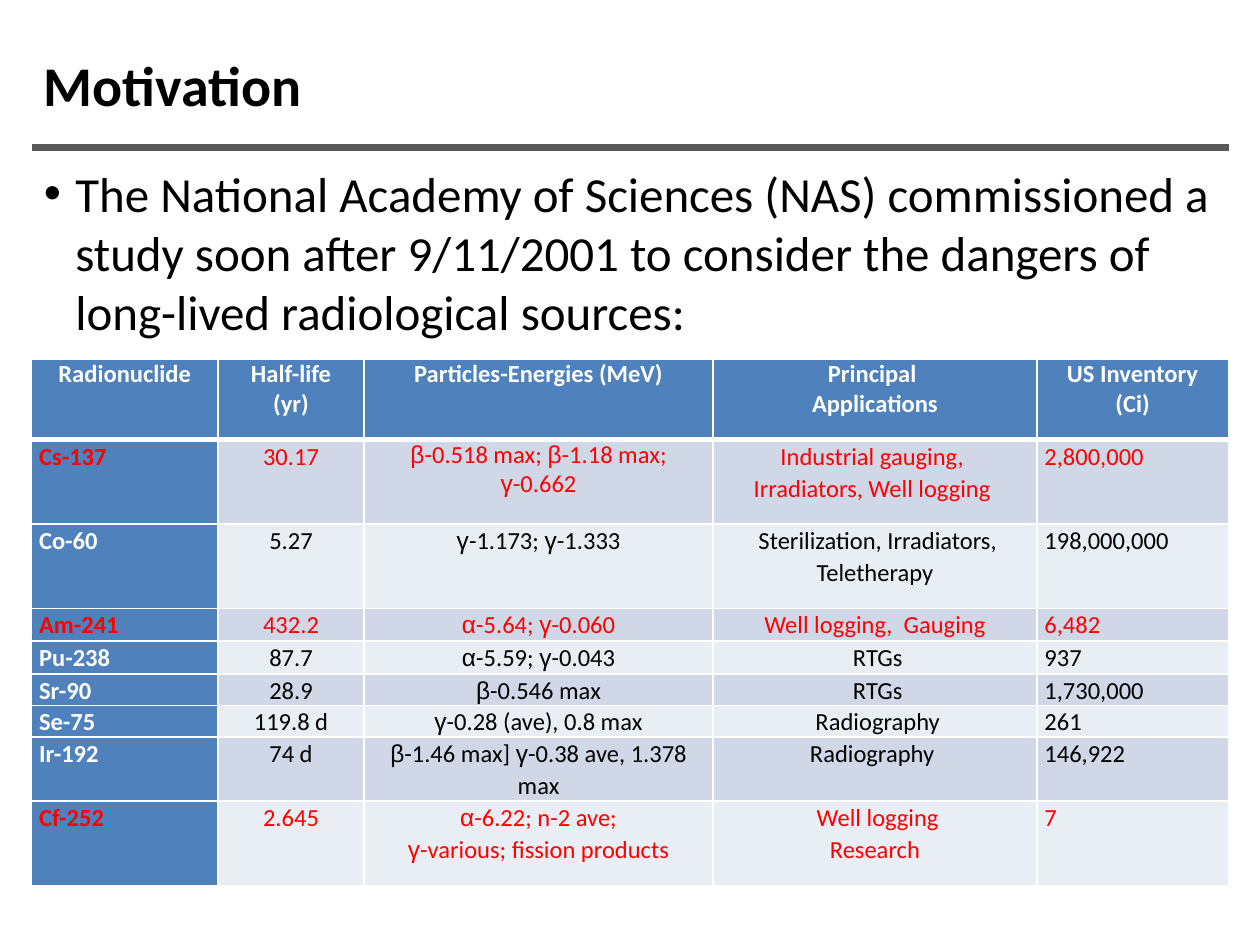
import dataclasses
import itertools

import lxml.etree
import pptx
import pptx.dml.color
import pptx.enum.shapes
import pptx.enum.text
import pptx.oxml.ns
import pptx.util

Inches = pptx.util.Inches
Pt = pptx.util.Pt
ALIGN = pptx.enum.text.PP_ALIGN
ANCHOR = pptx.enum.text.MSO_ANCHOR

COLORS = {
    "black": "000000",
    "white": "FFFFFF",
    "rule": "595959",
    "blue": "4F81BD",
    "dark_band": "D0D8E8",
    "light_band": "E9EDF4",
    "red": "FF0000",
}
GREEK = "αβγ"
LEFT, WIDTH = 0.25, 9.5
COLUMN_WIDTHS = (1.48, 1.16, 2.77, 2.57, 1.52)
HEADER_HEIGHT = 0.64
HEADERS = ("Radionuclide", "Half-life\v(yr)", "Particles-Energies (MeV)",
           "Principal \vApplications", "US Inventory\v(Ci)")


@dataclasses.dataclass(frozen=True)
class Source:
    height: float
    values: tuple[str, ...]
    highlighted: bool = False
    energy_spacing: float = 1.07


@dataclasses.dataclass(frozen=True)
class TextStyle:
    size: int
    color: str
    bold: bool = False
    alignment: ALIGN = ALIGN.LEFT
    spacing: float = 1.0


SOURCES = (
    Source(0.67, ("Cs-137", "30.17", "β-0.518 max; β-1.18 max; γ-0.662",
                  "Industrial gauging, \nIrradiators, Well logging ", "2,800,000"), True, 1.0),
    Source(0.67, ("Co-60", "5.27", "γ-1.173; γ-1.333",
                  " Sterilization, Irradiators, Teletherapy", "198,000,000")),
    Source(0.26, ("Am-241", "432.2", "α-5.64; γ-0.060", "Well logging,  Gauging", "6,482"), True),
    Source(0.26, ("Pu-238", "87.7", "α-5.59; γ-0.043", " RTGs", "937")),
    Source(0.25, ("Sr-90", "28.9", "β-0.546 max", " RTGs", "1,730,000")),
    Source(0.25, ("Se-75", "119.8 d", "γ-0.28 (ave), 0.8 max", " Radiography", "261")),
    Source(0.51, ("Ir-192", "74 d", "β-1.46 max] γ-0.38 ave, 1.378 max",
                  "Radiography ", "146,922")),
    Source(0.67, ("Cf-252", "2.645", "α-6.22; n-2 ave;\nγ-various; fission products",
                  " Well logging\nResearch", "7"), True),
)


def rgb(name: str) -> pptx.dml.color.RGBColor:
    return pptx.dml.color.RGBColor.from_string(COLORS[name])


def set_attributes(target, values: dict) -> None:
    for name, value in values.items():
        setattr(target, name, value)


def add_element(parent, tag: str, **attributes: str):
    element = lxml.etree.SubElement(parent, pptx.oxml.ns.qn(tag))
    for name, value in attributes.items():
        element.set(name, value)
    return element


def write_text(text_frame, text: str, style: TextStyle) -> None:
    for index, line in enumerate(text.split("\n")):
        paragraph = text_frame.add_paragraph() if index else text_frame.paragraphs[0]
        set_attributes(paragraph, {"alignment": style.alignment, "line_spacing": style.spacing})
        for position, part in enumerate(line.split("\v")):
            if position:
                paragraph.add_line_break()
            for is_greek, letters in itertools.groupby(part, lambda letter: letter in GREEK):
                run = paragraph.add_run()
                run.text = "".join(letters)
                set_attributes(run.font, {
                    "name": "Arial" if is_greek else "Calibri",
                    "size": Pt(style.size),
                    "bold": style.bold,
                })
                run.font.color.rgb = rgb(style.color)


def add_text(slide, top: float, height: float, anchor: ANCHOR):
    shape = slide.shapes.add_textbox(Inches(LEFT), Inches(top), Inches(WIDTH), Inches(height))
    set_attributes(shape.text_frame, {"word_wrap": True, "vertical_anchor": anchor})
    return shape.text_frame


def add_rule(slide) -> None:
    rule = slide.shapes.add_connector(
        pptx.enum.shapes.MSO_CONNECTOR.STRAIGHT,
        Inches(LEFT), Inches(1.17), Inches(LEFT + WIDTH), Inches(1.17))
    rule.line.color.rgb = rgb("rule")
    rule.line.width = Pt(4)
    add_element(rule._element.spPr, "a:effectLst")


def add_bullet(paragraph) -> None:
    properties = paragraph._p.get_or_add_pPr()
    properties.set("marL", str(Inches(0.25)))
    properties.set("indent", str(Inches(-0.25)))
    add_element(properties, "a:buFont", typeface="Arial")
    add_element(properties, "a:buChar", char="•")


def format_cell(cell, fill: str, top_width: float, bottom_width: float) -> None:
    set_attributes(cell, {
        "margin_left": Inches(0.06),
        "margin_right": Inches(0.06),
        "margin_top": 0,
        "margin_bottom": 0,
    })
    properties = cell._tc.get_or_add_tcPr()
    widths = {"a:lnL": 1, "a:lnR": 1, "a:lnT": top_width, "a:lnB": bottom_width}
    for tag, width in widths.items():
        border = add_element(properties, tag, w=str(Pt(width)))
        add_element(add_element(border, "a:solidFill"), "a:srgbClr", val=COLORS["white"])
    cell.fill.solid()
    cell.fill.fore_color.rgb = rgb(fill)


def fill_source_row(table, row: int, source: Source) -> None:
    band = "dark_band" if row % 2 else "light_band"
    for column, value in enumerate(source.values):
        is_name = column == 0
        plain_color = "white" if is_name else "black"
        style = TextStyle(
            size=14,
            color="red" if source.highlighted else plain_color,
            bold=is_name,
            alignment=ALIGN.CENTER if column in (1, 2, 3) else ALIGN.LEFT,
            spacing=source.energy_spacing if column == 2 else 1.07,
        )
        cell = table.cell(row, column)
        format_cell(cell, "blue" if is_name else band, 3 if row == 1 else 1, 1)
        write_text(cell.text_frame, value, style)


def add_source_table(slide) -> None:
    heights = [HEADER_HEIGHT] + [source.height for source in SOURCES]
    table = slide.shapes.add_table(
        len(heights), len(HEADERS), Inches(LEFT), Inches(2.85),
        Inches(WIDTH), Inches(sum(heights))).table
    table.horz_banding = False
    for column, width in zip(table.columns, COLUMN_WIDTHS):
        column.width = Inches(width)
    for row, height in zip(table.rows, heights):
        row.height = Inches(height)
    header_style = TextStyle(14, "white", True, ALIGN.CENTER)
    for column, header in enumerate(HEADERS):
        cell = table.cell(0, column)
        format_cell(cell, "blue", 1, 3)
        write_text(cell.text_frame, header, header_style)
    for row, source in enumerate(SOURCES, start=1):
        fill_source_row(table, row, source)


def main() -> None:
    presentation = pptx.Presentation()
    set_attributes(presentation, {"slide_width": Inches(10), "slide_height": Inches(7.5)})
    slide = presentation.slides.add_slide(presentation.slide_layouts[6])
    add_rule(slide)
    title = add_text(slide, 0.25, 0.83, ANCHOR.MIDDLE)
    write_text(title, "Motivation", TextStyle(32, "black", True))
    body = add_text(slide, 1.25, 6, ANCHOR.TOP)
    add_bullet(body.paragraphs[0])
    write_text(body, "The National Academy of Sciences (NAS) commissioned a study soon after "
               "9/11/2001 to consider the dangers of long-lived radiological sources:",
               TextStyle(28, "black"))
    add_source_table(slide)
    presentation.save("out.pptx")


if __name__ == "__main__":
    main()
